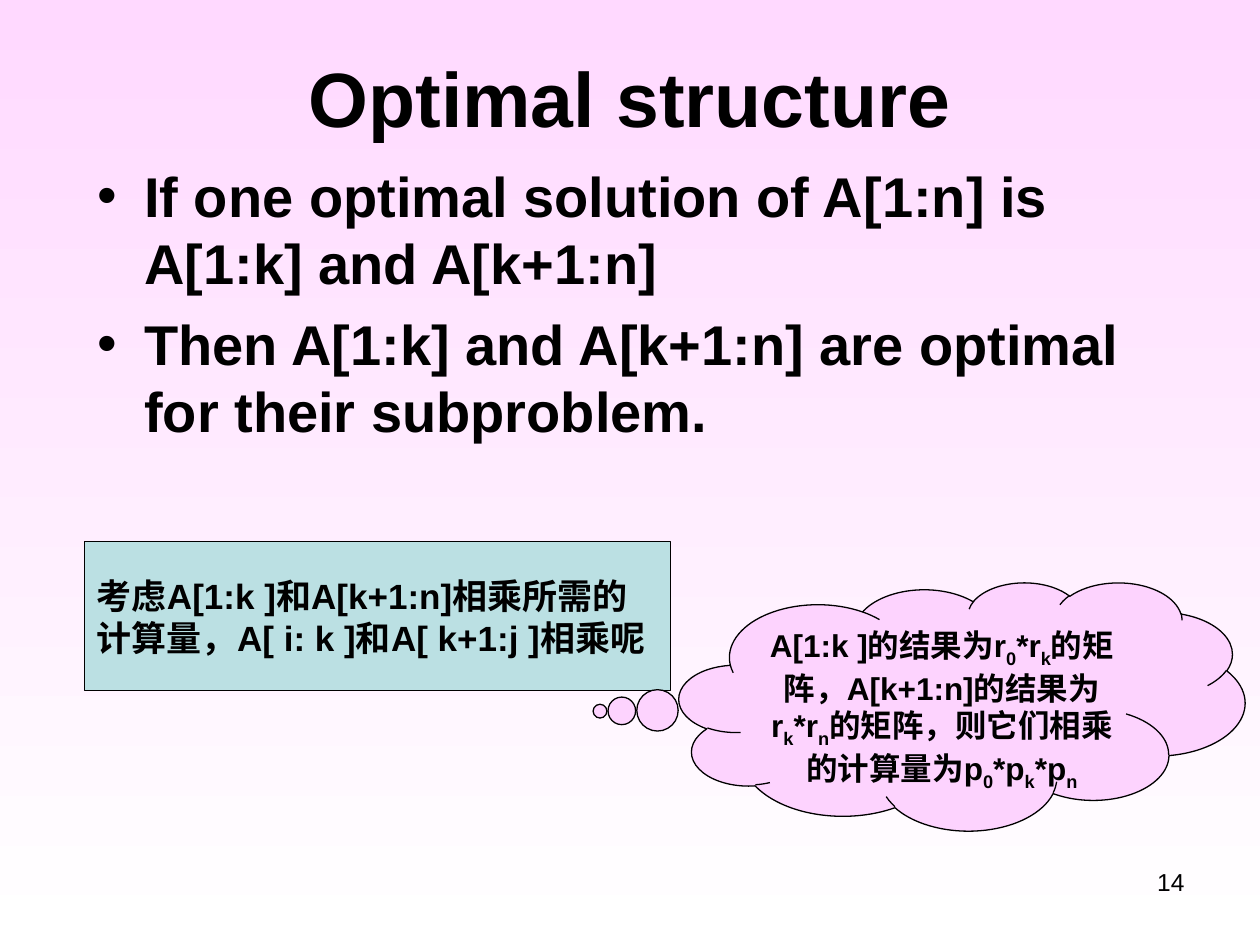
from pptx import Presentation
from pptx.dml.color import RGBColor
from pptx.enum.shapes import MSO_SHAPE
from pptx.enum.text import MSO_ANCHOR, MSO_AUTO_SIZE, PP_ALIGN
from pptx.util import Inches, Pt

RECTANGLE, CLOUD = MSO_SHAPE.RECTANGLE, MSO_SHAPE.CLOUD_CALLOUT
TOP, MIDDLE = MSO_ANCHOR.TOP, MSO_ANCHOR.MIDDLE
LEFT, CENTER, RIGHT = PP_ALIGN.LEFT, PP_ALIGN.CENTER, PP_ALIGN.RIGHT
NO_FIT = MSO_AUTO_SIZE.NONE

COLORS = {"text": "000000", "sky": "FFD9FF", "ground": "FFFFFF",
          "question": "BBE0E3", "answer": "FDD3FE"}
COLORS = {name: RGBColor.from_string(value) for name, value in COLORS.items()}
MARGIN = 0.67


def format_text(box, size, align, anchor=TOP, bold=True):
    frame = box.text_frame
    frame.word_wrap = True
    frame.auto_size = NO_FIT
    frame.vertical_anchor = anchor
    for para in frame.paragraphs:
        para.alignment = align
        para.font.name = "Arial"
        para.font.size = Pt(size)
        para.font.bold = bold
        para.font.color.rgb = COLORS["text"]


def place(box, left, top, width, height):
    box.left, box.top = Inches(left), Inches(top)
    box.width, box.height = Inches(width), Inches(height)


deck = Presentation()
deck.slide_width, deck.slide_height = Inches(10), Inches(7.5)
page = deck.slides.add_slide(deck.slide_layouts[1])

# Background: pink fading to white, top to bottom
backdrop = page.background.fill
backdrop.gradient()
backdrop.gradient_angle = 270
for stop, name in zip(backdrop.gradient_stops, ("sky", "ground")):
    stop.color.rgb = COLORS[name]

# Title
title = page.shapes.title
place(title, 0.5, 0.3, 9, 0.93)
title.text_frame.text = "Optimal structure"
format_text(title, 44, CENTER, MIDDLE)

# Bullet list
body = page.placeholders[1]
place(body, MARGIN, 1.23, 9, 4.95)
body.text_frame.text = "\n".join([
    "If one optimal solution of A[1:n] is A[1:k] and A[k+1:n]",
    "Then A[1:k] and A[k+1:n] are optimal for their subproblem.",
])
format_text(body, 32, LEFT)
for para, space in zip(body.text_frame.paragraphs, (0, 8)):
    para.space_before = Pt(space)

# Question box and thought cloud
callouts = {}
for name, kind, area in [
    ("question", RECTANGLE, (MARGIN, 4.3, 4.65, 1.18)),
    ("answer", CLOUD, (5.39, 4.62, 4.49, 1.97)),
]:
    box = page.shapes.add_shape(kind, *map(Inches, area))
    box.shadow.inherit = False
    box.fill.solid()
    box.fill.fore_color.rgb = COLORS[name]
    box.line.color.rgb = COLORS["text"]
    box.line.width = Pt(0.75)
    callouts[name] = box

question, answer = callouts["question"], callouts["answer"]
question.text_frame.text = "考虑A[1:k ]和A[k+1:n]相乘所需的计算量，A[ i: k ]和A[ k+1:j ]相乘呢"
format_text(question, 20, LEFT, MIDDLE)

answer.adjustments[0], answer.adjustments[1] = -0.64, 0.02
para = answer.text_frame.paragraphs[0]
for base, subscript in [
    ("A[1:k ]的结果为r", "0"), ("*r", "k"),
    ("的矩阵，A[k+1:n]的结果为r", "k"), ("*r", "n"),
    ("的矩阵，则它们相乘的计算量为p", "0"), ("*p", "k"), ("*p", "n"),
]:
    para.add_run().text = base
    span = para.add_run()
    span.text = subscript
    span.font._element.set("baseline", "-25000")
format_text(answer, 18, CENTER)

# Slide number
number = page.shapes.add_textbox(*map(Inches, (7.17, 6.83, 2.33, 0.52)))
number.text_frame.text = "14"
format_text(number, 14, RIGHT, bold=False)

deck.save("out.pptx")
